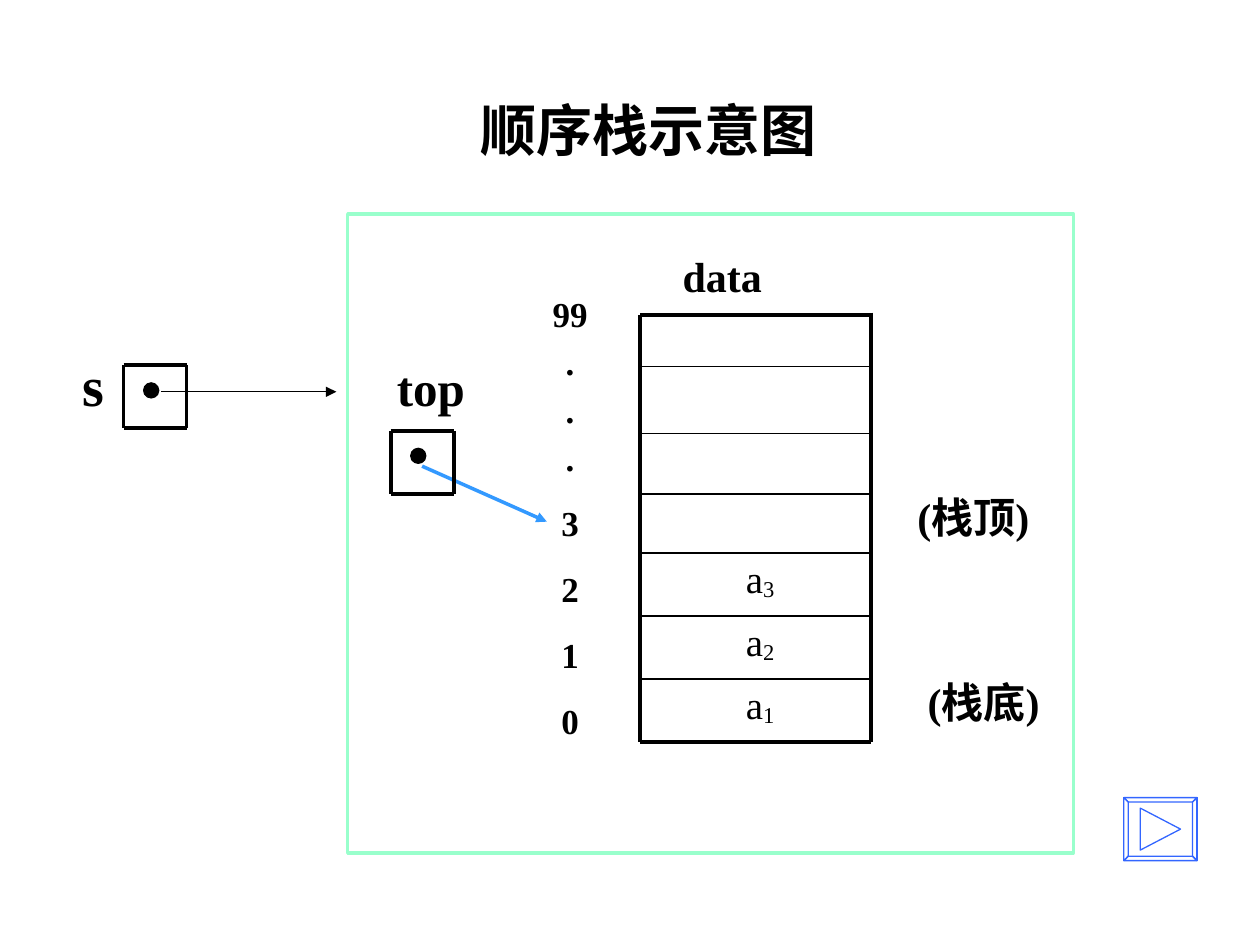
from pptx import Presentation
from pptx import util as u
from pptx.dml.color import RGBColor
from pptx.enum import shapes, text
from pptx.oxml import ns
from lxml import etree

COLOURS = {"ink": "000000", "frame": "99FFCC", "pointer": "3399FF", "button": "3366FF"}
FONT = "Times New Roman"


def format_run(paragraph, content, size=24, bold=True, colour="ink", baseline=None):
    run = paragraph.add_run()
    run.text = content
    run.font.name = FONT
    run.font.size = u.Pt(size)
    run.font.bold = bold
    run.font.color.rgb = RGBColor.from_string(COLOURS[colour])
    if baseline is not None:
        run.font._element.set("baseline", str(baseline))


class Diagram:
    def __init__(self, slide):
        self.slide = slide

    def outline(self, shape, colour, width):
        shape.line.color.rgb = RGBColor.from_string(COLOURS[colour])
        shape.line.width = u.Pt(width)

    def label(self, box, paragraphs, middle=True, wrap=True, centre=True,
              line_spacing=None, **style):
        frame = self.slide.shapes.add_textbox(*map(u.Pt, box)).text_frame
        frame.word_wrap = wrap
        frame.vertical_anchor = text.MSO_ANCHOR.MIDDLE if middle else text.MSO_ANCHOR.TOP
        frame.margin_left = frame.margin_right = u.Pt(7.2)
        frame.margin_top = frame.margin_bottom = u.Pt(3.6)
        for index, (content, space_before) in enumerate(paragraphs):
            paragraph = frame.paragraphs[0] if index == 0 else frame.add_paragraph()
            paragraph.alignment = text.PP_ALIGN.CENTER if centre else text.PP_ALIGN.LEFT
            paragraph.space_before = u.Pt(space_before)
            if line_spacing:
                paragraph.line_spacing = line_spacing
            format_run(paragraph, content, **style)
        return frame

    def line(self, start, end, width=2.25, colour="ink", arrow=False):
        connector = self.slide.shapes.add_connector(
            shapes.MSO_CONNECTOR.STRAIGHT, *map(u.Pt, (*start, *end)))
        self.outline(connector, colour, width)
        if arrow:
            etree.SubElement(connector.line._get_or_add_ln(), ns.qn("a:tailEnd"), type="triangle")
        etree.SubElement(connector._element.spPr, ns.qn("a:effectLst"))

    def shape(self, kind, box, colour, width, filled=False):
        shape = self.slide.shapes.add_shape(kind, *map(u.Pt, box))
        shape.shadow.inherit = False
        if filled:
            shape.fill.solid()
            shape.fill.fore_color.rgb = RGBColor.from_string(COLOURS[colour])
        else:
            shape.fill.background()
        self.outline(shape, colour, width)

    def pointer_cell(self, left, top, size=36):
        right, bottom = left + size, top + size
        for y in (top, bottom):
            self.line((left, y), (right, y))
        for x in (left, right):
            self.line((x, top), (x, bottom))
        self.shape(shapes.MSO_SHAPE.OVAL, (left + 11.5, top + 10, 8.6, 8.6), "ink", 0.75, True)

    def next_button(self, left, top, width, height, bevel=2.5):
        right, bottom = left + width, top + height
        outer = [(left, top), (right, top), (right, bottom), (left, bottom)]
        inner = [(left + bevel, top + bevel), (right - bevel, top + bevel),
                 (right - bevel, bottom - bevel), (left + bevel, bottom - bevel)]
        contours = [outer]
        for side in range(4):
            after = (side + 1) % 4
            contours.append([outer[side], outer[after], inner[after], inner[side]])
        middle = top + height / 2
        contours.append([(left + 9.4, middle - 12), (left + 32.4, middle),
                         (left + 9.4, middle + 12)])
        builder = self.slide.shapes.build_freeform(
            u.Pt(left), u.Pt(top), scale=1.0)
        for contour in contours:
            points = [(u.Pt(x), u.Pt(y)) for x, y in contour]
            builder.move_to(*points[0])
            builder.add_line_segments(points[1:], close=True)
        shape = builder.convert_to_shape()
        shape.shadow.inherit = False
        shape.fill.background()
        self.outline(shape, "button", 0.75)


def main():
    presentation = Presentation()
    presentation.slide_width, presentation.slide_height = u.Pt(720), u.Pt(540)
    diagram = Diagram(presentation.slides.add_slide(presentation.slide_layouts[6]))

    diagram.label((213.8, 48.2, 313.9, 51.1), [("顺序栈示意图", 0)], size=32)

    diagram.label((39.6, 196.6, 28.1, 46.1), [("s", 0)], size=32)
    diagram.line((92.2, 223.9), (192.2, 223.9), 0.75, arrow=True)
    diagram.pointer_cell(70.6, 208.8)

    left, right, top, bottom = 365.8, 497.5, 180, 424.1
    row_height = 36
    for number in (1, 2, 3):
        row = (left, bottom - number * row_height, right - left, row_height)
        frame = diagram.label(row, [(" a", 0)], middle=False, line_spacing=0.9,
                              size=22.2, bold=False)
        format_run(frame.paragraphs[0], str(number), size=22.2, bold=False, baseline=-10000)
        diagram.line((left, row[1]), (right, row[1]), 1)
    for y in (209.5, 247.7, 282.2):
        diagram.line((left, y), (right, y), 1)
    diagram.line((left, top), (right, top), 2)
    diagram.line((left, bottom), (right, bottom))
    diagram.line((left, top), (left, bottom))
    diagram.line((right, top - 1.4), (right, bottom))

    diagram.label((383, 139.7, 59.8, 36), [("data", 0)], middle=False, wrap=False, centre=False)
    diagram.label((517, 383, 90, 36), [("(栈底)", 0)], wrap=False)
    diagram.label((511.2, 277.2, 90, 36), [("(栈顶)", 0)], wrap=False)
    indexes = [("99", 0)] + [(".", 3.3)] * 3 + [(digit, 13.6) for digit in "3210"]
    diagram.label((287.3, 167, 77, 257), indexes, size=20)

    diagram.label((213.8, 200.9, 64.8, 41), [("top", 0)], size=28)
    diagram.shape(shapes.MSO_SHAPE.RECTANGLE, (198.7, 122.4, 414.7, 365), "frame", 2)
    diagram.line((241.2, 266.4), (312.5, 298.1), 2, "pointer", arrow=True)
    diagram.pointer_cell(223.2, 246.2)

    diagram.next_button(642.2, 455.8, 41.8, 36)
    presentation.save("out.pptx")


if __name__ == "__main__":
    main()
